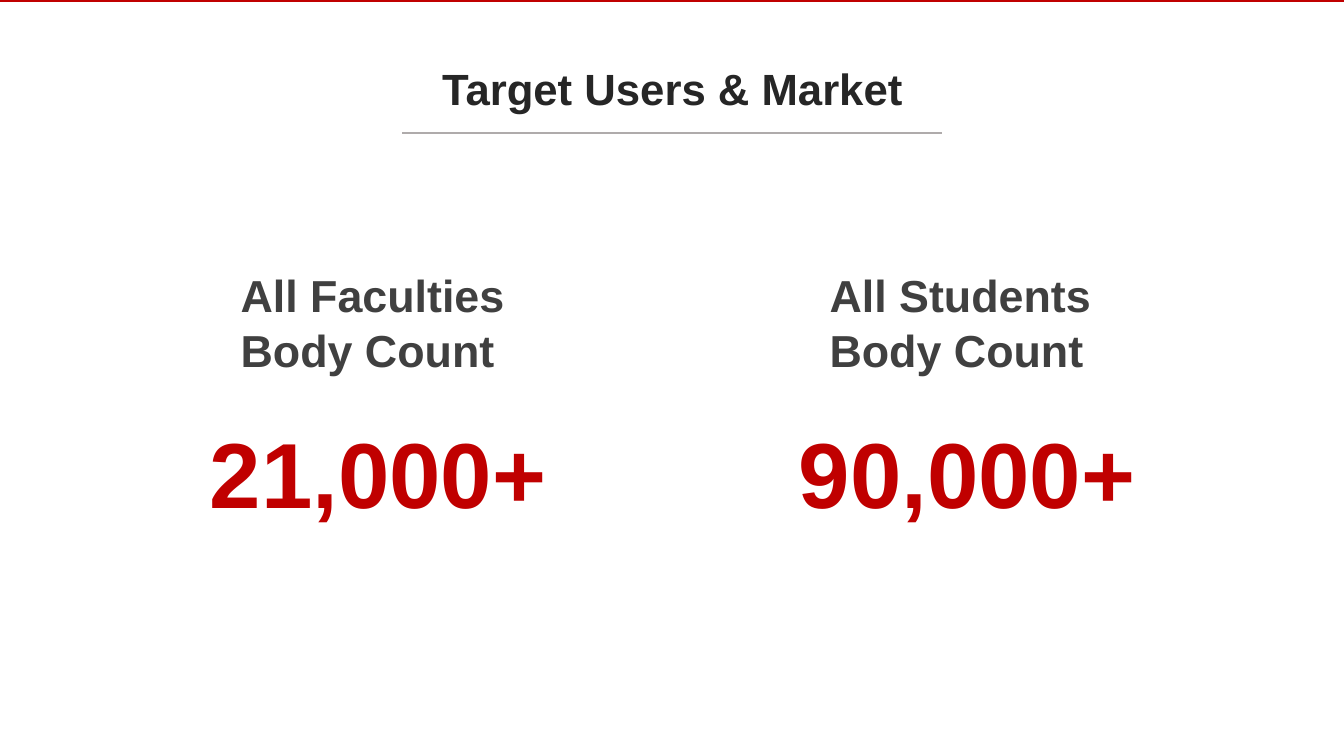
from pptx import Presentation
from pptx.dml.color import RGBColor
from pptx.enum import shapes, text
from pptx.oxml.ns import qn
from pptx.util import Pt

HUES = {"red": "C00000", "ink": "262626", "gray": "404040", "rule": "AFABAB"}


def hue(name):
    """Return the named colour."""
    return RGBColor.from_string(HUES[name])


def write(slide, words, box, size, color, align="LEFT", anchor="TOP",
          space=None, grow=False):
    """Add a bold text box, one paragraph per line of words."""
    frame = slide.shapes.add_textbox(*map(Pt, box)).text_frame
    frame.word_wrap = True
    frame.vertical_anchor = getattr(text.MSO_ANCHOR, anchor)
    if grow:
        frame.auto_size = text.MSO_AUTO_SIZE.SHAPE_TO_FIT_TEXT
    frame.text = words
    for para in frame.paragraphs:
        para.alignment = getattr(text.PP_ALIGN, align)
        para.line_spacing = space
        font = para.runs[0].font
        font.name, font.size, font.bold = "Arial", Pt(size), True
        font.color.rgb = hue(color)


def rule(slide, left, right, top):
    """Draw the level line under the title."""
    line = slide.shapes.add_connector(
        shapes.MSO_CONNECTOR.STRAIGHT, Pt(left), Pt(top), Pt(right), Pt(top))
    line.line.color.rgb = hue("rule")
    line.line.width = Pt(1.5)
    props = line._element.spPr
    props.append(props.makeelement(qn("a:effectLst"), {}))


def bar(slide, box):
    """Draw the red band along the top edge."""
    band = slide.shapes.add_shape(shapes.MSO_SHAPE.RECTANGLE, *map(Pt, box))
    band.shadow.inherit = False
    band.fill.solid()
    band.fill.fore_color.rgb = hue("red")
    band.line.fill.background()


def count(slide, left, group, total):
    """Add one group label with its head count below."""
    write(slide, f"{group}\nBody Count", (left + 52.5, 187.5, 210, 85), 32,
          "gray", space=Pt(38.8), grow=True)
    write(slide, total, (left, 293, 315.4, 87.1), 66, "red",
          align="CENTER", space=Pt(80), grow=True)


def main():
    """Build and save the slide."""
    deck = Presentation()
    deck.slide_width, deck.slide_height = Pt(960), Pt(540)
    slide = deck.slides.add_slide(deck.slide_layouts[6])
    write(slide, "Target Users & Market", (287.3, 36, 385.9, 59), 31.2, "ink",
          align="CENTER", anchor="MIDDLE", space=0.9)
    rule(slide, 287.3, 673.2, 95)
    count(slide, 112.3, "All Faculties", "21,000+")
    count(slide, 533, "All Students", "90,000+")
    bar(slide, (-8.6, -2.2, 977.8, 3.6))
    deck.save("out.pptx")


if __name__ == "__main__":
    main()
